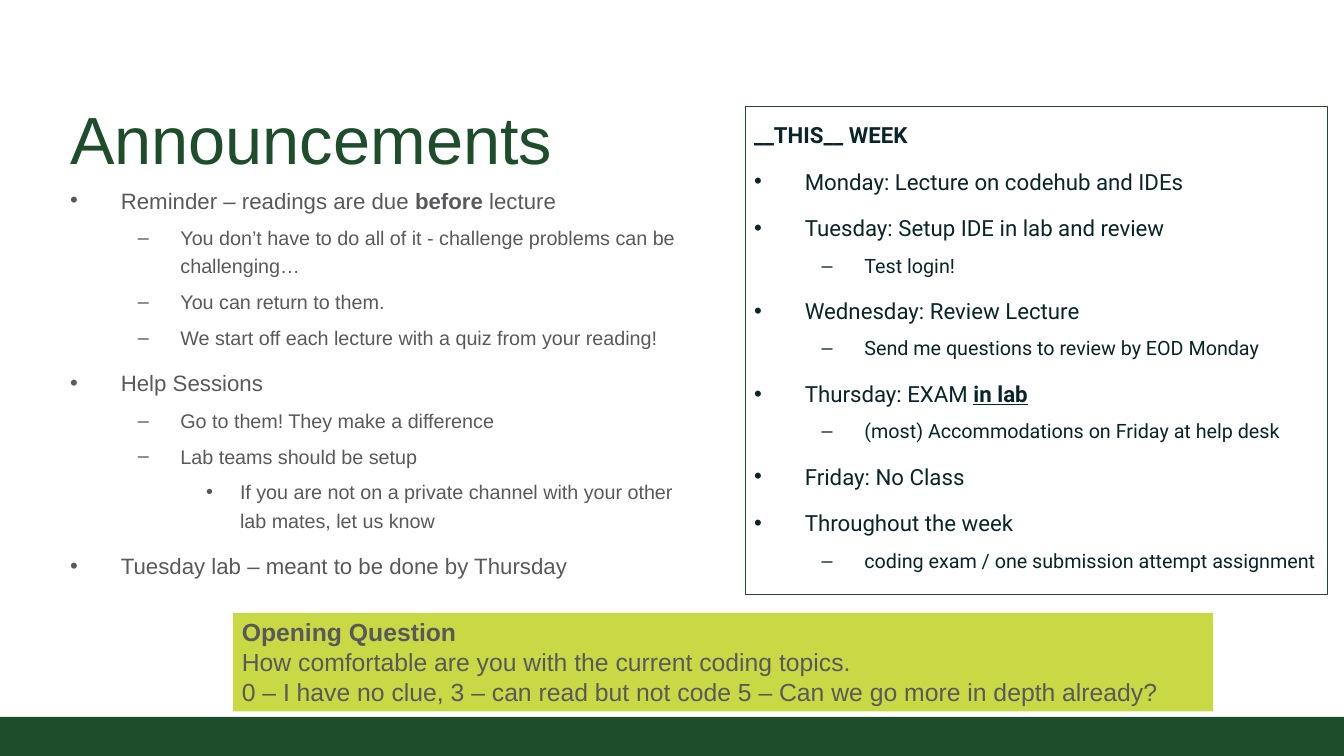
from pptx import Presentation
from pptx.dml.color import RGBColor
from pptx.enum.shapes import MSO_SHAPE
from pptx.enum.text import MSO_ANCHOR, PP_ALIGN
from pptx.oxml.ns import qn
from pptx.util import Inches, Pt
from lxml.etree import SubElement

GREEN = RGBColor(0x1E, 0x4D, 0x2B)
LIME = RGBColor(0xC9, 0xD8, 0x45)
GRAY = RGBColor(0x59, 0x59, 0x5B)
INK = RGBColor(0x09, 0x25, 0x29)

LEVELS = [
    ("•", 0.57, 0.57, 18),
    ("–", 1.24, 0.48, 16),
    ("•", 1.91, 0.38, 16),
]

REMINDERS = [
    (0, ["Reminder – readings are due ", "before", " lecture"]),
    (1, ["You don’t have to do all of it - challenge problems can be challenging…"]),
    (1, ["You can return to them."]),
    (1, ["We start off each lecture with a quiz from your reading!"]),
    (0, ["Help Sessions"]),
    (1, ["Go to them! They make a difference"]),
    (1, ["Lab teams should be setup"]),
    (2, ["If you are not on a private channel with your other lab mates, let us know"]),
    (0, ["Tuesday lab – meant to be done by Thursday"]),
]

WEEK = [
    (None, ["", "__THIS__ WEEK"]),
    (0, ["Monday: Lecture on codehub and IDEs"]),
    (0, ["Tuesday: Setup IDE in lab and review"]),
    (1, ["Test login!"]),
    (0, ["Wednesday: Review Lecture"]),
    (1, ["Send me questions to review by EOD Monday"]),
    (0, ["Thursday: EXAM ", "in lab"]),
    (1, ["(most) Accommodations on Friday at help desk"]),
    (0, ["Friday: No Class"]),
    (0, ["Throughout the week"]),
    (1, ["coding exam / one submission attempt assignment"]),
]

QUESTION = [
    "Opening Question",
    "How comfortable are you with the current coding topics.",
    "0 – I have no clue, 3 – can read but not code 5 – Can we go more in depth already?",
]


def add_rect(s, x, y, w, h, fill=None, line=None):
    sp = s.shapes.add_shape(MSO_SHAPE.RECTANGLE, Inches(x), Inches(y), Inches(w), Inches(h))
    sp.shadow.inherit = False
    if fill is None:
        sp.fill.background()
    else:
        sp.fill.solid()
        sp.fill.fore_color.rgb = fill
    if line is None:
        sp.line.fill.background()
    else:
        sp.line.color.rgb = line
        sp.line.width = Pt(0.75)
    return sp


def add_text(s, x, y, w, h):
    return s.shapes.add_textbox(Inches(x), Inches(y), Inches(w), Inches(h))


def setup_frame(sp, anchor=MSO_ANCHOR.TOP, inset=0.1):
    tf = sp.text_frame
    tf.word_wrap = True
    tf.vertical_anchor = anchor
    tf.margin_left = tf.margin_right = Inches(0.1)
    tf.margin_top = tf.margin_bottom = Inches(inset)
    return tf


def next_paragraph(tf, i):
    p = tf.add_paragraph() if i else tf.paragraphs[0]
    p.alignment = PP_ALIGN.LEFT
    return p


def style_font(font, name, size, color, bold=False):
    font.name = name
    font.size = Pt(size)
    font.color.rgb = color
    font.bold = bold


def set_bullet(p, char, left, hang):
    pPr = p._p.get_or_add_pPr()
    pPr.set("marL", str(Inches(left)))
    pPr.set("indent", str(-Inches(hang)))
    SubElement(pPr, qn("a:buFont")).set("typeface", "Arial")
    SubElement(pPr, qn("a:buChar")).set("char", char)


def write_outline(tf, items, name, color, underline=False):
    for i, (level, parts) in enumerate(items):
        p = next_paragraph(tf, i)
        size = 18
        if level is not None:
            char, left, hang, size = LEVELS[level]
            p.level = level
            set_bullet(p, char, left, hang)
        p.line_spacing = 1.2
        p.space_before = Pt(6 if i and not level else 0)
        p.space_after = Pt(6)
        for n, part in enumerate(parts):
            if part:
                r = p.add_run()
                r.text = part
                strong = n == 1
                style_font(r.font, name, size, color, strong)
                if strong and underline and level is not None:
                    r.font.underline = True


def write_lines(tf, lines, size, color, bold_first=False):
    for i, line in enumerate(lines):
        p = next_paragraph(tf, i)
        p.text = line
        style_font(p.runs[0].font, "Arial", size, color, bold_first and i == 0)


def main():
    prs = Presentation()
    prs.slide_width = Inches(15.11)
    prs.slide_height = Inches(8.5)
    s = prs.slides.add_slide(prs.slide_layouts[6])

    add_rect(s, 0, 8.06, 15.11, 0.44, fill=GREEN)

    title = add_text(s, 0.69, 0.99, 13.74, 1.11)
    write_lines(setup_frame(title, MSO_ANCHOR.BOTTOM), ["Announcements"], 54, GREEN)

    reminders = add_text(s, 0.69, 1.94, 7.19, 5.21)
    write_outline(setup_frame(reminders), REMINDERS, "Arial", GRAY)

    week = add_rect(s, 8.38, 1.2, 6.54, 5.48, line=GREEN)
    write_outline(setup_frame(week), WEEK, "Roboto", INK, underline=True)

    question = add_rect(s, 2.62, 6.89, 11.02, 1.11, fill=LIME)
    write_lines(setup_frame(question, inset=0.05), QUESTION, 20, GRAY, bold_first=True)

    prs.save("out.pptx")


if __name__ == "__main__":
    main()
